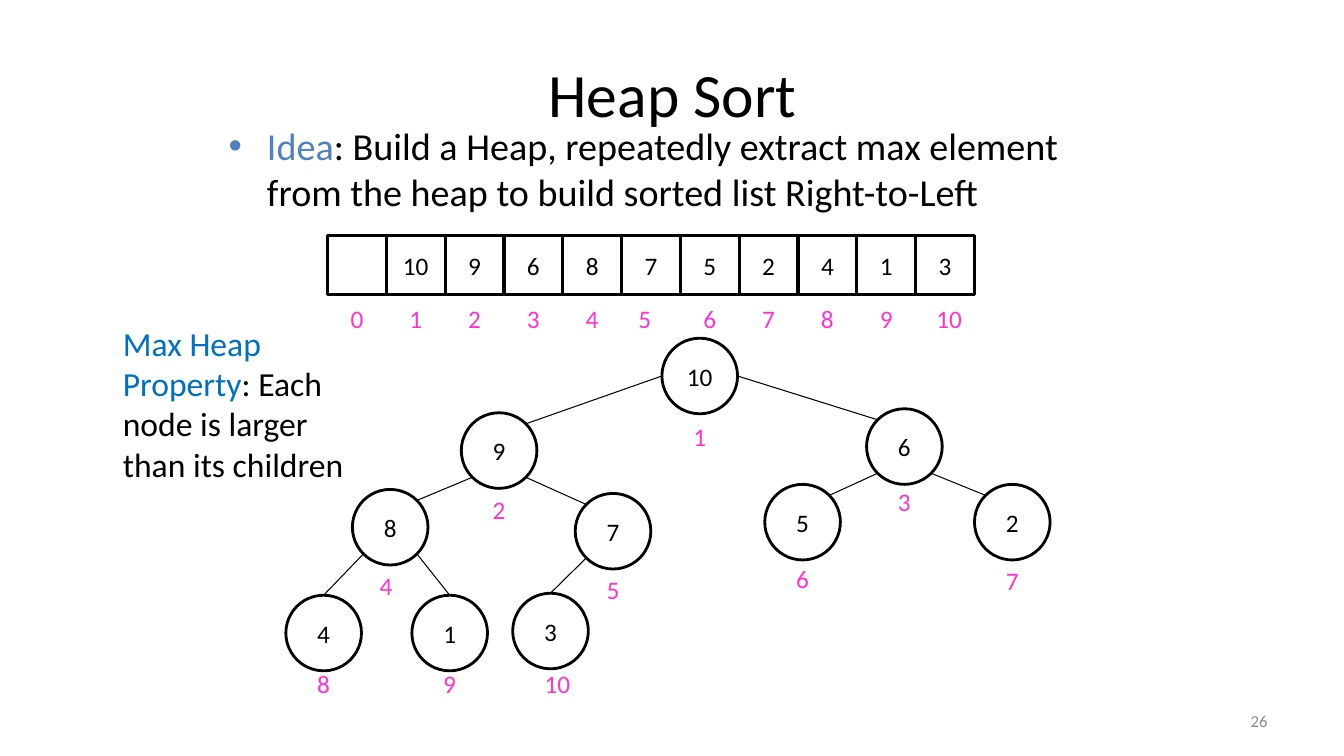
import math
from dataclasses import dataclass

import pptx
import pptx.util
from lxml import etree
from pptx.dml.color import RGBColor
from pptx.enum.shapes import MSO_CONNECTOR, MSO_SHAPE
from pptx.enum.text import MSO_ANCHOR, MSO_AUTO_SIZE, PP_ALIGN
from pptx.oxml.ns import qn


@dataclass(frozen=True)
class Theme:
    font: str = "Calibri"
    ink: str = "000000"
    idea: str = "4F81BD"
    term: str = "0070C0"
    index: str = "FF33CC"
    muted: str = "8C8C8C"
    paper: str = "FFFFFF"
    title: float = 44
    body: float = 27.2
    note: float = 24
    label: float = 18
    footer: float = 12
    outline: float = 2
    edge: float = 0.75


T = Theme()
SLIDE_W, SLIDE_H = 13.33, 7.5

TITLE = [("Heap Sort", T.ink)]
IDEA = [("Idea", T.idea),
        (": Build a Heap, repeatedly extract max element from the heap"
         " to build sorted list Right-to-Left", T.ink)]
PROPERTY = [("Max Heap Property", T.term),
            (": Each node is larger than its children", T.ink)]
PAGE = [("26", T.muted)]

# Slot 0 is unused, so the children of node k are 2k and 2k + 1.
HEAP = ["", "10", "9", "6", "8", "7", "5", "2", "4", "1", "3"]

# Node number: centre x, centre y, shift of its index label, top of that label
NODES = {
    1: (6.94, 3.73, 0, 4.13),
    2: (4.95, 4.47, 0, 4.85),
    3: (8.97, 4.43, 0, 4.78),
    4: (3.87, 5.23, -0.04, 5.61),
    5: (6.08, 5.27, 0, 5.65),
    6: (7.96, 5.18, 0, 5.54),
    7: (10.04, 5.18, 0, 5.56),
    8: (3.21, 6.28, 0, 6.58),
    9: (4.46, 6.28, 0, 6.58),
    10: (5.46, 6.26, 0.07, 6.58),
}
FIRST_BOTTOM_NODE = 8
DIAMETER = 0.75

ROW_LEFT, ROW_TOP, CELL, CELL_PITCH = 3.25, 2.34, 0.58, 0.5833
INDEX_TOP = 2.96
INDEX_SHIFT = {5: -0.06, 10: 0.04}


def inches(*lengths):
    return [pptx.util.Inches(v) for v in lengths]


def write(tf, runs, size, align=PP_ALIGN.LEFT, anchor=MSO_ANCHOR.TOP, wrap=True):
    """Fill a text frame with one paragraph of (text, colour) runs."""
    tf.word_wrap = wrap
    tf.vertical_anchor = anchor
    p = tf.paragraphs[0]
    p.alignment = align
    for text, color in runs:
        r = p.add_run()
        r.text = text
        r.font.name = T.font
        r.font.size = pptx.util.Pt(size)
        r.font.color.rgb = RGBColor.from_string(color)
    return p


def add_text(s, box, runs, size, **layout):
    tf = s.shapes.add_textbox(*inches(*box)).text_frame
    return write(tf, runs, size, **layout)


def add_bullet(p, indent):
    pPr = p._p.get_or_add_pPr()
    pPr.set("marL", str(pptx.util.Inches(indent)))
    pPr.set("indent", str(-pptx.util.Inches(indent)))
    etree.SubElement(pPr, qn("a:buFont")).set("typeface", "Arial")
    etree.SubElement(pPr, qn("a:buChar")).set("char", "•")


def add_index(s, number, center, top):
    text = str(number)
    width = 0.2 + 0.13 * len(text)
    tf = s.shapes.add_textbox(*inches(center - width / 2, top, width, 0.4)).text_frame
    write(tf, [(text, T.index)], T.label, align=PP_ALIGN.CENTER, wrap=False)
    tf.auto_size = MSO_AUTO_SIZE.SHAPE_TO_FIT_TEXT


def add_value(shapes, kind, box, value, filled):
    """Add an outlined shape holding one heap value."""
    sp = shapes.add_shape(kind, *inches(*box))
    sp.shadow.inherit = False
    if filled:
        sp.fill.solid()
        sp.fill.fore_color.rgb = RGBColor.from_string(T.paper)
    else:
        sp.fill.background()
    sp.line.color.rgb = RGBColor.from_string(T.ink)
    sp.line.width = pptx.util.Pt(T.outline)
    if value:
        write(sp.text_frame, [(value, T.ink)], T.label,
              align=PP_ALIGN.CENTER, anchor=MSO_ANCHOR.MIDDLE)


def rim(node, degrees):
    """Point on a node's circle; angles run clockwise from the right."""
    x, y = NODES[node][:2]
    a = math.radians(degrees)
    return x + DIAMETER / 2 * math.cos(a), y + DIAMETER / 2 * math.sin(a)


def add_edge(s, child):
    parent = child // 2
    is_left = child % 2 == 0
    if parent == 1:
        leave = 180 if is_left else 0
    else:
        leave = 135 if is_left else 45
    if child >= FIRST_BOTTOM_NODE:
        arrive = 270
    else:
        arrive = 315 if is_left else 225
    line = s.shapes.add_connector(
        MSO_CONNECTOR.STRAIGHT, *inches(*rim(parent, leave), *rim(child, arrive)))
    line.line.color.rgb = RGBColor.from_string(T.ink)
    line.line.width = pptx.util.Pt(T.edge)
    etree.SubElement(line._element.spPr, qn("a:effectLst"))


def add_array(s):
    row = s.shapes.add_group_shape()
    for i, value in enumerate(HEAP):
        left = ROW_LEFT + i * CELL_PITCH
        add_value(row.shapes, MSO_SHAPE.RECTANGLE, (left, ROW_TOP, CELL, CELL),
                  value, filled=i < 2)
        add_index(s, i, left + CELL / 2 + INDEX_SHIFT.get(i, 0), INDEX_TOP)


def add_tree(s):
    for k, (x, y, shift, label_top) in NODES.items():
        box = (x - DIAMETER / 2, y - DIAMETER / 2, DIAMETER, DIAMETER)
        add_value(s.shapes, MSO_SHAPE.OVAL, box, HEAP[k], filled=True)
        add_index(s, k, x + shift, label_top)
        if k > 1:
            add_edge(s, k)


def main():
    prs = pptx.Presentation()
    prs.slide_width, prs.slide_height = inches(SLIDE_W, SLIDE_H)
    s = prs.slides.add_slide(prs.slide_layouts[6])
    add_text(s, (0.67, 0.3, 12, 1.25), TITLE, T.title,
             align=PP_ALIGN.CENTER, anchor=MSO_ANCHOR.MIDDLE)
    add_bullet(add_text(s, (2.17, 1.17, 9, 1.17), IDEA, T.body), 0.38)
    # The bullet takes the colour of the first run.
    add_text(s, (9.56, 6.95, 3.11, 0.4), PAGE, T.footer,
             align=PP_ALIGN.RIGHT, anchor=MSO_ANCHOR.MIDDLE)
    add_tree(s)
    add_array(s)
    add_text(s, (1.12, 3.15, 2.42, 1.72), PROPERTY, T.note)
    prs.save("out.pptx")


if __name__ == "__main__":
    main()
